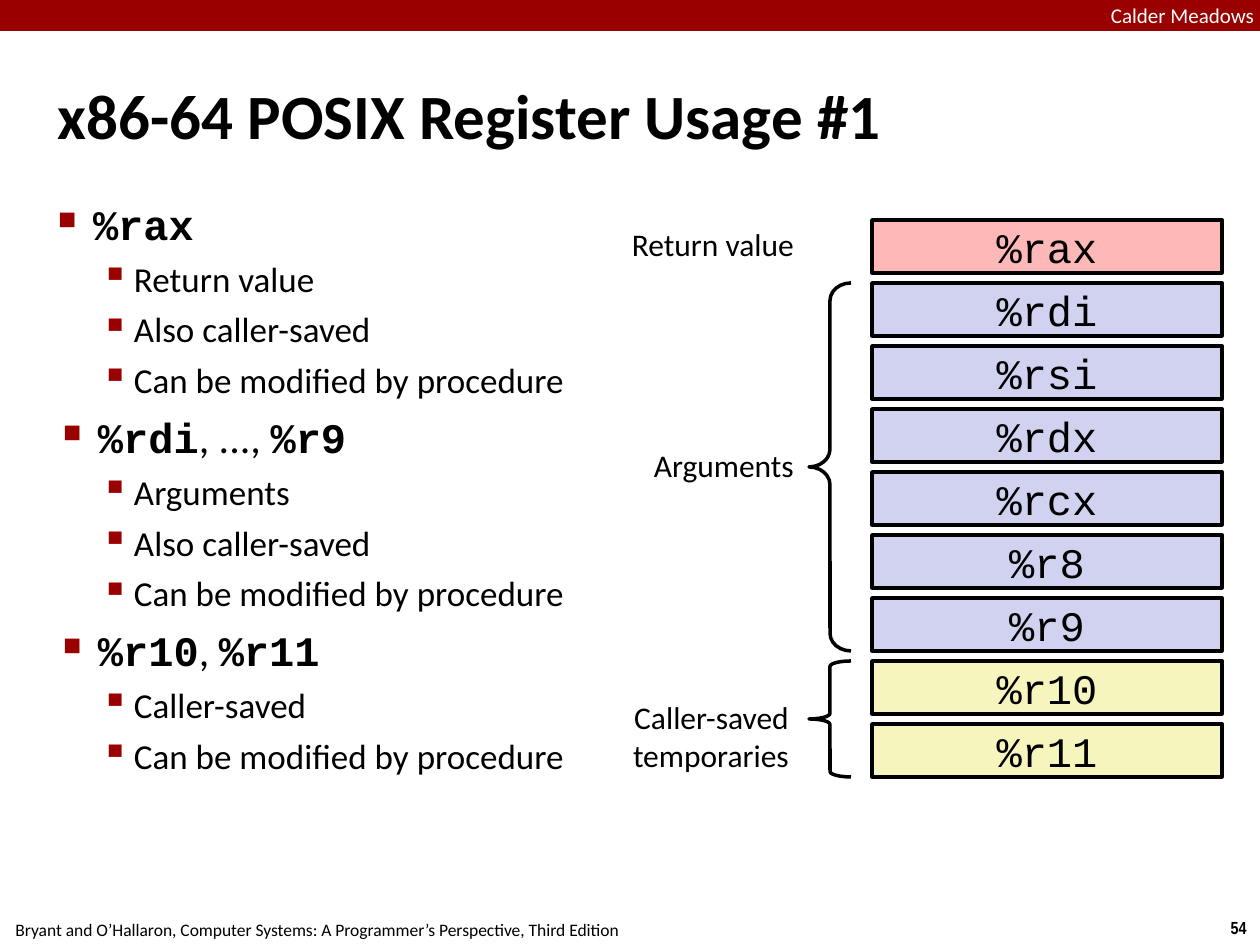
import pptx
import pptx.util
from pptx.dml.color import RGBColor
from pptx.enum.shapes import MSO_SHAPE
from pptx.enum.text import MSO_ANCHOR, MSO_AUTO_SIZE, PP_ALIGN
from lxml import etree

# Content
HEAD = "Calder Meadows"
TITLE = "x86-64 POSIX Register Usage #1"
FOOT = ("Bryant and O’Hallaron, Computer Systems: "
        "A Programmer’s Perspective, Third Edition")
PAGE = "54"
# Each topic: text pieces (code pieces start with %), indent, points
TOPICS = [
    (["%rax"], 35,
     ["Return value", "Also caller-saved", "Can be modified by procedure"]),
    (["%rdi", ", ..., ", "%r9"], 40,
     ["Arguments", "Also caller-saved", "Can be modified by procedure"]),
    (["%r10", ", ", "%r11"], 40,
     ["Caller-saved", "Can be modified by procedure"]),
]
# Each group: fill, registers, label lines, label box, brace bend
GROUPS = [
    ("ret", ["%rax"], ["Return value"], (624, 220, 175, 49), None),
    ("arg", ["%rdi", "%rsi", "%rdx", "%rcx", "%r8", "%r9"],
     ["Arguments"], (646, 441, 153, 49), 0.42),
    ("temp", ["%r10", "%r11"],
     ["Caller-saved", "temporaries"], (619, 693, 175, 87), 0.13),
]

THEME = {
    "color": {"ink": "000000", "paper": "FFFFFF", "brand": "990000",
              "ret": "FFB8B8", "arg": "D1D1F0", "temp": "F6F5BD"},
    "font": {"sans": "Calibri", "code": "Courier New",
             "narrow": "Arial Narrow"},
    "size": {"title": 36, "code": 24, "point": 20, "label": 18,
             "head": 12, "foot": 10},
}

# Layout in px
WIDE, HIGH = 1260, 945
LEFT, TOP, BOX_W, BOX_H, STEP = 872, 220, 350, 53, 63
BRACE_X, BRACE_W = 809, 42


def px(num):
    return pptx.util.Emu(round(num * 9144000 / WIDE))


def color(name):
    return RGBColor.from_string(THEME["color"][name])


def apply(item, form):
    for key, value in form.items():
        setattr(item, key, value)


def write(para, text, size, font="sans", bold=False, ink="ink"):
    run = para.add_run()
    run.text = text
    apply(run.font, {"size": pptx.util.Pt(THEME["size"][size]),
                     "name": THEME["font"][font], "bold": bold})
    run.font.color.rgb = color(ink)


def frame(shape, pad=(5, 5), **form):
    side, edge = (px(num) for num in pad)
    base = {"margin_left": side, "margin_right": side,
            "margin_top": edge, "margin_bottom": edge, "word_wrap": True}
    apply(shape.text_frame, base | form)
    return shape.text_frame


def label(slide, box, lines, size, align=PP_ALIGN.LEFT, pad=(5, 5),
          form=None, **style):
    shape = slide.shapes.add_textbox(*map(px, box))
    text = frame(shape, pad, **(form or {}))
    for num, line in enumerate(lines):
        para = text.add_paragraph() if num else text.paragraphs[0]
        para.alignment = align
        write(para, line, size, **style)


def draw(slide, kind, box, fill=None, line=True):
    shape = slide.shapes.add_shape(kind, *map(px, box))
    shape.shadow.inherit = False
    if fill:
        shape.fill.solid()
        shape.fill.fore_color.rgb = color(fill)
    else:
        shape.fill.background()
    if line:
        shape.line.color.rgb = color("ink")
        shape.line.width = pptx.util.Pt(2)
    else:
        shape.line.fill.background()
    return shape


def bullet(para, char, scale, left, hang, gap):
    para.space_before = pptx.util.Pt(gap)
    props = para._p.get_or_add_pPr()
    props.set("marL", str(px(left)))
    props.set("indent", str(-px(hang)))
    space = "{http://schemas.openxmlformats.org/drawingml/2006/main}"
    tint = etree.SubElement(props, space + "buClr")
    etree.SubElement(tint, space + "srgbClr", val=THEME["color"]["brand"])
    etree.SubElement(props, space + "buSzPct", val=str(scale * 1000))
    etree.SubElement(props, space + "buChar", char=char)


def outline(slide):
    text = frame(slide.shapes.add_textbox(*map(px, (53, 193, 559, 748))))
    fresh = True
    for parts, left, points in TOPICS:
        para = text.paragraphs[0] if fresh else text.add_paragraph()
        fresh = False
        bullet(para, "■", 60, left, 35, 6)
        for part in parts:
            code = part.startswith("%")
            write(para, part, "code", "code" if code else "sans", code)
        for point in points:
            para = text.add_paragraph()
            para.level = 1
            bullet(para, "▪", 110, 76, 33, 5)
            write(para, point, "point")


def stack(slide, loose):
    row = 0
    for fill, names, lines, box, bend in GROUPS:
        top = TOP + row * STEP
        for num, name in enumerate(names):
            cell = draw(slide, MSO_SHAPE.RECTANGLE,
                        (LEFT, top + num * STEP, BOX_W, BOX_H), fill)
            text = frame(cell, (0, 0), vertical_anchor=MSO_ANCHOR.MIDDLE)
            text.paragraphs[0].alignment = PP_ALIGN.CENTER
            write(text.paragraphs[0], name, "code", "code")
        if bend:
            tall = (len(names) - 1) * STEP + BOX_H
            brace = draw(slide, MSO_SHAPE.LEFT_BRACE,
                         (BRACE_X, top, BRACE_W, tall))
            brace.adjustments[0] = bend
        label(slide, box, lines, "label", PP_ALIGN.RIGHT, form=loose)
        row += len(names)


def main():
    deck = pptx.Presentation()
    apply(deck, {"slide_width": px(WIDE), "slide_height": px(HIGH)})
    slide = deck.slides.add_slide(deck.slide_layouts[6])
    loose = {"word_wrap": False, "auto_size": MSO_AUTO_SIZE.SHAPE_TO_FIT_TEXT}

    # Footer and page number
    label(slide, (1217, 911, 43, 34), [PAGE], "foot", PP_ALIGN.CENTER,
          (13, 6), loose, font="narrow", bold=True)
    label(slide, (0, 913, 634, 32), [FOOT], "foot", PP_ALIGN.CENTER,
          (13, 6), loose)

    # Top band and title
    draw(slide, MSO_SHAPE.RECTANGLE, (0, 0, WIDE, 31), "brand", False)
    label(slide, (1111, 3, 149, 24), [HEAD], "head", pad=(0, 0), ink="paper")
    label(slide, (53, 35, 892, 158), [TITLE], "title", bold=True,
          form={"vertical_anchor": MSO_ANCHOR.MIDDLE})

    # Bullets and register stack
    outline(slide)
    stack(slide, loose)
    deck.save("out.pptx")


if __name__ == "__main__":
    main()
